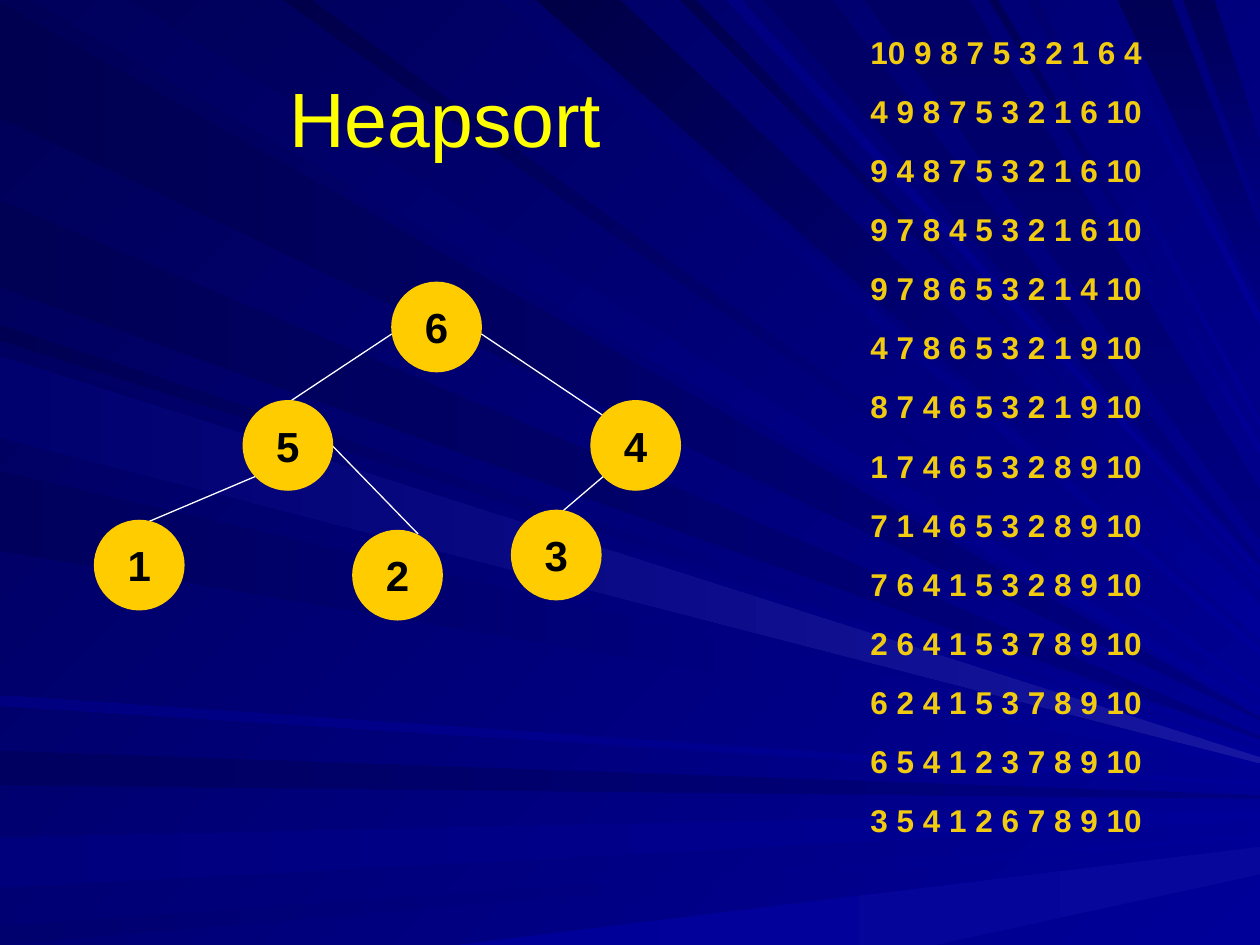
from pptx import Presentation
from pptx.dml.color import RGBColor
from pptx.enum.shapes import MSO_CONNECTOR as Line, MSO_SHAPE as Shape
from pptx.enum.text import MSO_ANCHOR as Anchor, PP_ALIGN as Align
from pptx.oxml.ns import qn
from pptx.util import Inches, Pt
from lxml.etree import SubElement

# Content
TITLE = "Heapsort"
STEPS = [
    "10 9 8 7 5 3 2 1 6 4", "4 9 8 7 5 3 2 1 6 10", "9 4 8 7 5 3 2 1 6 10",
    "9 7 8 4 5 3 2 1 6 10", "9 7 8 6 5 3 2 1 4 10", "4 7 8 6 5 3 2 1 9 10",
    "8 7 4 6 5 3 2 1 9 10", "1 7 4 6 5 3 2 8 9 10", "7 1 4 6 5 3 2 8 9 10",
    "7 6 4 1 5 3 2 8 9 10", "2 6 4 1 5 3 7 8 9 10", "6 2 4 1 5 3 7 8 9 10",
    "6 5 4 1 2 3 7 8 9 10", "3 5 4 1 2 6 7 8 9 10",
]

# Heap: label, left, top
NODES = [("2", 2.8, 4.21), ("3", 4.06, 4.05), ("4", 4.69, 3.18),
         ("6", 3.11, 2.24), ("5", 1.93, 3.18), ("1", 0.75, 4.13)]
SIZE = 0.71
EDGES = [(3.11, 2.65, 2.28, 3.2), (3.82, 2.65, 4.79, 3.3),
         (1.18, 4.14, 2.03, 3.78), (2.64, 3.54, 3.32, 4.24),
         (4.79, 3.78, 4.45, 4.07)]

# Rays run from a slide edge to the right side:
# edge, start span, height on the right, width there, colours
WIDE, HIGH, THIN = 10, 7.5, 0.03
BLUE, NAVY = "000099", "000080"
RAYS = [
    ("left", 0.02, 0.93, 5.69, THIN, NAVY, "000051"),
    ("top", 0.26, 1.01, 5.62, THIN, BLUE, "00005C"),
    ("left", 5.96, 6.23, 6.31, THIN, NAVY, "000060"),
    ("left", 6.65, 7.04, 6.43, 0.08, BLUE, "00007C"),
    ("left", 7.35, 7.5, 6.62, THIN, BLUE, "00006E"),
    ("bottom", 3.64, 7.42, 6.72, 0.22, "07079B", BLUE),
    ("left", 2.58, 2.7, 5.88, THIN, BLUE, "000053"),
    ("left", 1.59, 2.28, 5.84, THIN, NAVY, "000055"),
    ("top", 3.98, 4.16, 5.15, 0.06, BLUE, "00006A"),
    ("top", 4.26, 4.92, 4.79, 0.28, BLUE, "000046"),
    ("top", 5.4, 5.52, 4.63, THIN, BLUE, "00004E"),
    ("top", 6.06, 6.61, 4.45, THIN, "000064", NAVY),
    ("top", 8.87, 9.3, 1.83, 0.54, "000055", NAVY),
    ("top", 9.39, 9.64, 1.14, 0.53, "000059", NAVY),
    ("left", 2.78, 3.42, 5.96, 0.06, BLUE, "000060"),
    ("left", 3.74, 4.37, 6.05, THIN, BLUE, "00005C"),
    ("left", 5.52, 5.6, 6.21, THIN, BLUE, "000081"),
    ("top", 2.25, 2.47, 5.47, 0.05, BLUE, "00004A"),
    ("top", 5.77, 5.88, 4.53, THIN, BLUE, "000081"),
    ("top", 6.86, 7.7, 3.9, 0.38, "000064", NAVY),
    ("top", 7.85, 7.92, 3.54, 0.06, BLUE, "000057"),
    ("top", 8.15, 8.24, 3.35, THIN, BLUE, "00006E"),
    ("top", 8.65, 8.72, 2.49, 0.09, BLUE, "000078"),
    ("left", 2.83, 3.47, 6.01, 0.05, "1616A1", "00006E"),
]


def paint(fmt, tone, end=None, angle=0):
    """Set a solid colour, or a gradient when an end colour is given."""
    if end is None:
        fmt.solid()
        fmt.fore_color.rgb = RGBColor.from_string(tone)
        return
    fmt.gradient()
    fmt.gradient_angle = angle
    for stop, hue in zip(fmt.gradient_stops, (tone, end)):
        stop.color.rgb = RGBColor.from_string(hue)


def write(para, text, size, tone, bold=False):
    run = para.add_run()
    run.text = text
    font = run.font
    font.name, font.size, font.bold = "Arial", Pt(size), bold
    paint(font.fill, tone)


def box(*nums):
    return [Inches(n) for n in nums]


def trace(side, start, stop, tip, span):
    """Corners of a ray, in order around it."""
    tips = [(WIDE, tip + span), (WIDE, tip)]
    if side == "left":
        return [(0, start), (0, stop)] + tips
    if side == "bottom":
        return [(start, HIGH), (stop, HIGH)] + tips
    return [(stop, 0), (start, 0)] + tips


deck = Presentation()
deck.slide_width, deck.slide_height = box(WIDE, HIGH)
slide = deck.slides.add_slide(deck.slide_layouts[5])
shapes = slide.shapes

# Background
paint(slide.background.fill, BLUE, "000057", 135)
group = shapes.add_group_shape()
for side, start, stop, tip, span, tone, end in RAYS:
    dots = [box(x, y) for x, y in trace(side, start, stop, tip, span)]
    pen = group.shapes.build_freeform(*dots[0])
    pen.add_line_segments(dots[1:], close=True)
    ray = pen.convert_to_shape()
    ray.shadow.inherit = False
    slant = 270 if end == NAVY else 135
    paint(ray.fill, tone, end, slant if side == "top" else 180)
    ray.line.fill.background()

# Title, brought in front of the rays
title = shapes.title
shapes.element.append(title.element)
title.left, title.top, title.width, title.height = box(0.5, 0.3, 6.07, 1.25)
title.text_frame.vertical_anchor = Anchor.MIDDLE
para = title.text_frame.paragraphs[0]
para.alignment = Align.CENTER
write(para, TITLE, 44, "FFFF00")

# Heap edges
for ends in EDGES:
    edge = shapes.add_connector(Line.STRAIGHT, *box(*ends))
    paint(edge.line.fill, "FFFFFF")
    edge.line.width = Pt(0.75)
    SubElement(edge.element.spPr, qn("a:effectLst"))

# Heap nodes
for label, left, top in NODES:
    node = shapes.add_shape(Shape.OVAL, *box(left, top, SIZE, SIZE))
    node.shadow.inherit = False
    paint(node.fill, "FFCC00")
    paint(node.line.fill, "FFCC00")
    node.line.width = Pt(0.75)
    node.text_frame.vertical_anchor = Anchor.MIDDLE
    para = node.text_frame.paragraphs[0]
    para.alignment = Align.CENTER
    write(para, label, 24, "000000", True)

# Array after each step
frame = shapes.add_textbox(*box(6.81, 0.21, 2.84, 7.2)).text_frame
frame.word_wrap = True
for i, step in enumerate(STEPS):
    para = frame.add_paragraph() if i else frame.paragraphs[0]
    para.space_before = Pt(12.2 if i else 0)
    write(para, step, 18, "F0CB10", True)

deck.save("out.pptx")
